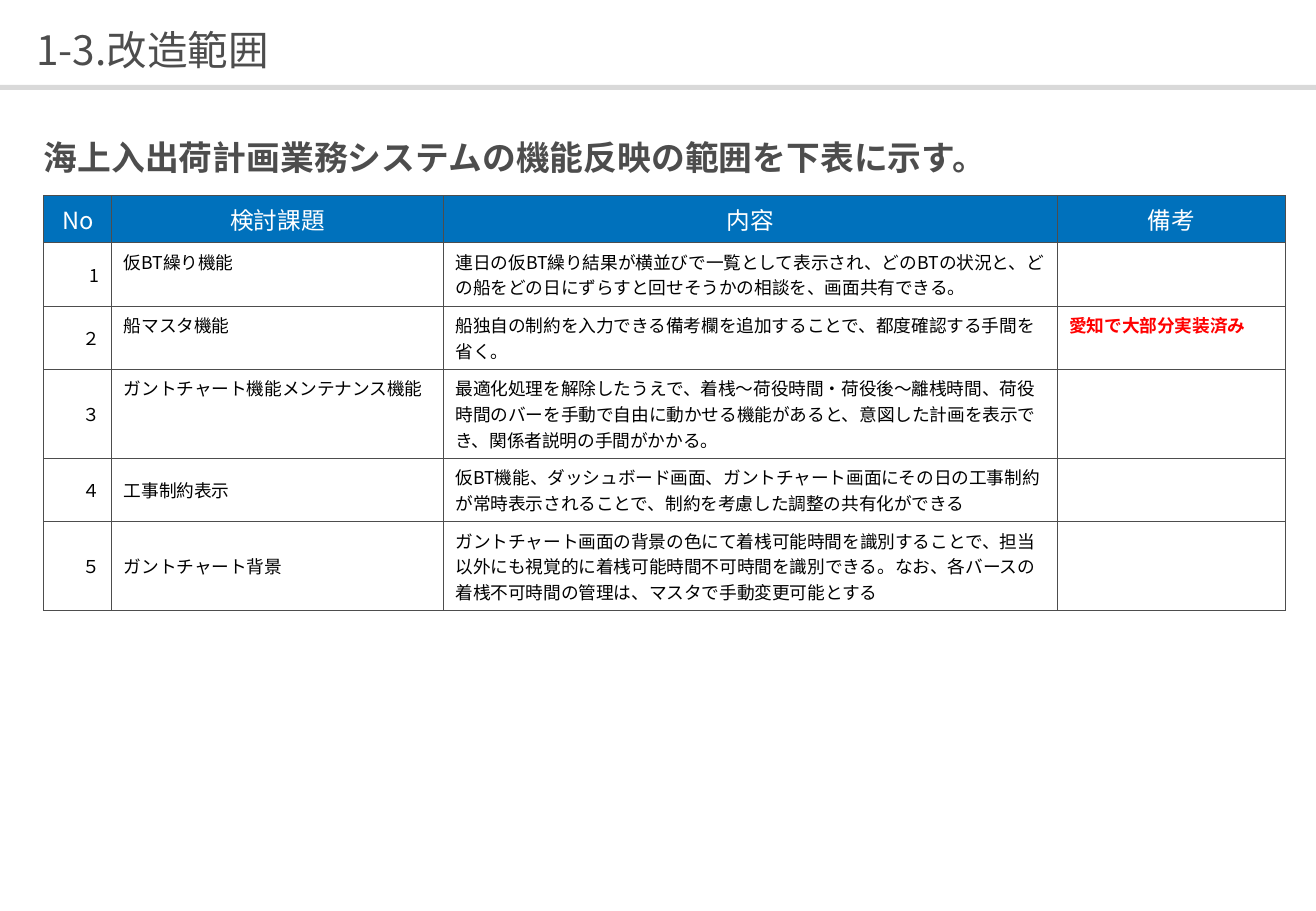
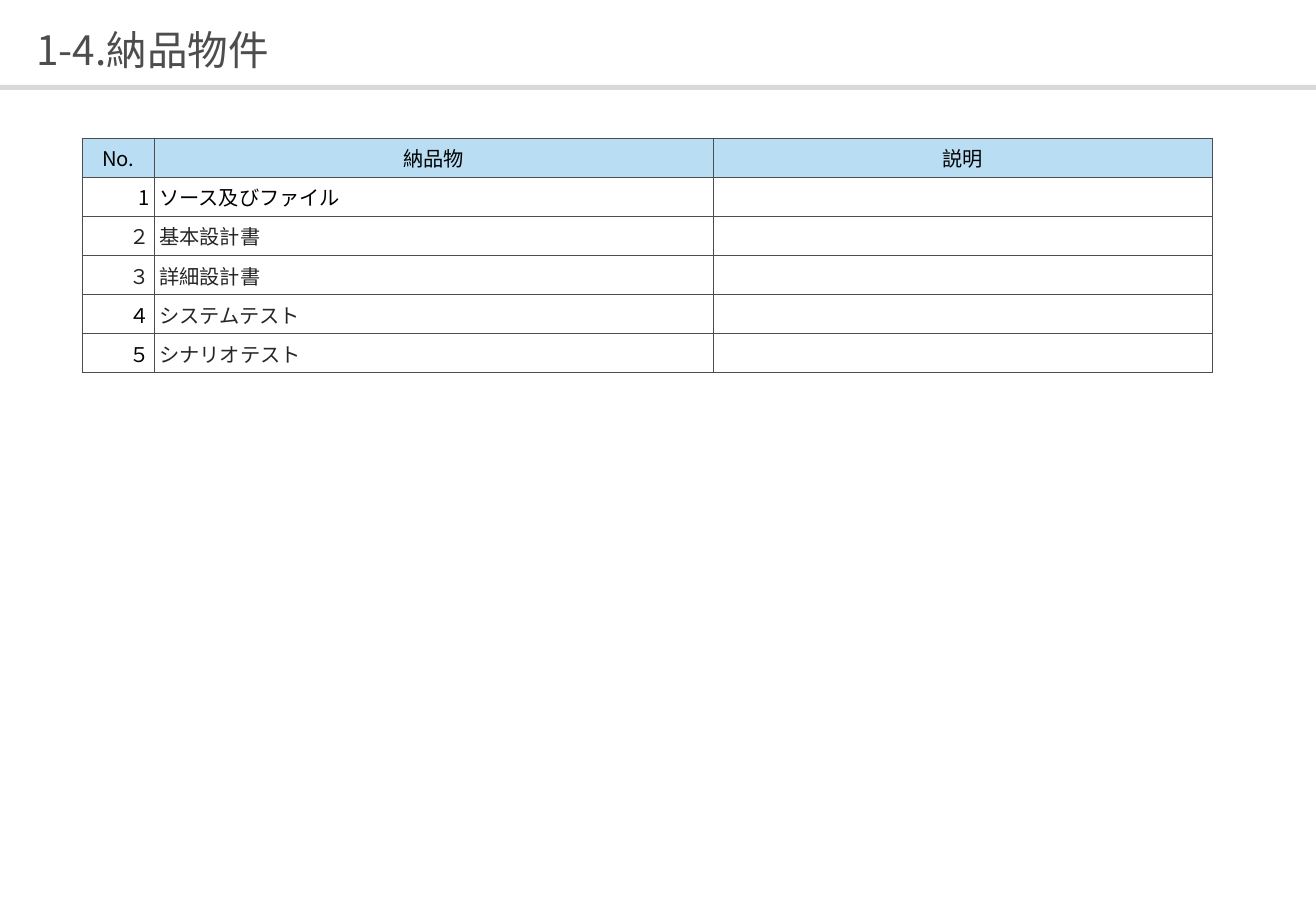
"""Builds two slides on the scope of changes and the deliverables."""
import pptx
import pptx.dml.color
import pptx.enum.shapes
import pptx.enum.text
import pptx.oxml
import pptx.oxml.ns
import pptx.util

Inches, Pt = pptx.util.Inches, pptx.util.Pt
ALIGN, ANCHOR = pptx.enum.text.PP_ALIGN, pptx.enum.text.MSO_ANCHOR
FONT = "Noto Sans CJK JP"
COLORS = {
    "gray": "4D4D4D", "band": "D9D9D9", "blue": "0071BC", "sky": "B9DDF3",
    "white": "FFFFFF", "black": "000000", "dark": "262626", "red": "FF0000",
}
WIDTH, HEIGHT = 10.83, 7.5

LEAD = "海上入出荷計画業務システムの機能反映の範囲を下表に示す。"
SCOPE = [
    ("No", "検討課題", "内容", "備考"),
    ("1", "仮BT繰り機能",
     "連日の仮BT繰り結果が横並びで一覧として表示され、どのBTの状況と、"
     "どの船をどの日にずらすと回せそうかの相談を、画面共有できる。", ""),
    ("２", "船マスタ機能",
     "船独自の制約を入力できる備考欄を追加することで、都度確認する手間を省く。",
     "愛知で大部分実装済み"),
    ("３", "ガントチャート機能メンテナンス機能",
     "最適化処理を解除したうえで、着桟～荷役時間・荷役後～離桟時間、荷役時間のバーを"
     "手動で自由に動かせる機能があると、意図した計画を表示でき、関係者説明の手間がかかる。", ""),
    ("４", "工事制約表示",
     "仮BT機能、ダッシュボード画面、ガントチャート画面にその日の工事制約が"
     "常時表示されることで、制約を考慮した調整の共有化ができる", ""),
    ("５", "ガントチャート背景",
     "ガントチャート画面の背景の色にて着桟可能時間を識別することで、"
     "担当以外にも視覚的に着桟可能時間不可時間を識別できる。なお、"
     "各バースの着桟不可時間の管理は、マスタで手動変更可能とする", ""),
]
GOODS = [
    ("No.", "納品物", "説明"),
    ("1", "ソース及びファイル", ""),
    ("２", "基本設計書", ""),
    ("３", "詳細設計書", ""),
    ("４", "システムテスト", ""),
    ("５", "シナリオテスト", ""),
]


def rgb(name):
    return pptx.dml.color.RGBColor.from_string(COLORS[name])


def write(frame, text, size=12, color="black", bold=False, align=ALIGN.LEFT,
          anchor=ANCHOR.TOP, space=None, after=None):
    frame.word_wrap = True
    frame.vertical_anchor = anchor
    para = frame.paragraphs[0]
    para.alignment = align
    if space:
        para.line_spacing = space
    if after:
        para.space_after = after
    if not text:
        end = pptx.oxml.parse_xml(
            f'<a:endParaRPr {pptx.oxml.ns.nsdecls("a")} sz="{int(size * 100)}"/>')
        para._p.append(end)
        return
    run = para.add_run()
    run.text = text
    font = run.font
    font.name, font.size, font.bold = FONT, Pt(size), bold
    font.color.rgb = rgb(color)
    face = pptx.oxml.parse_xml(
        f'<a:ea {pptx.oxml.ns.nsdecls("a")} typeface="{FONT}"/>')
    font._element.find(pptx.oxml.ns.qn("a:latin")).addnext(face)


def clear(frame):
    frame.margin_left = frame.margin_right = 0
    frame.margin_top = frame.margin_bottom = 0


def start(deck, text):
    slide = deck.slides.add_slide(deck.slide_layouts[5])
    band = slide.shapes.add_shape(
        pptx.enum.shapes.MSO_SHAPE.RECTANGLE,
        0, Inches(0.7), Inches(WIDTH), Inches(0.04))
    band.shadow.inherit = False
    band.fill.solid()
    band.fill.fore_color.rgb = rgb("band")
    band.line.fill.background()
    title = slide.shapes.title
    title.left, title.top = Inches(0.3), Inches(0.17)
    title.width, title.height = Inches(10.24), Inches(0.43)
    clear(title.text_frame)
    title.text_frame.auto_size = pptx.enum.text.MSO_AUTO_SIZE.NONE
    write(title.text_frame, text, size=24, color="gray",
          anchor=ANCHOR.MIDDLE, space=1.1)
    return slide


def edge(cell):
    props = cell._tc.get_or_add_tcPr()
    for spot, side in enumerate("LRTB"):
        props.insert(spot, pptx.oxml.parse_xml(
            f'<a:ln{side} {pptx.oxml.ns.nsdecls("a")} w="{Pt(0.75)}">'
            f'<a:solidFill><a:srgbClr val="{COLORS["gray"]}"/></a:solidFill>'
            f'</a:ln{side}>'))


def grid(slide, rows, left, top, widths, heights, head, style, pad=None):
    table = slide.shapes.add_table(
        len(rows), len(widths), Inches(left), Inches(top),
        Inches(sum(widths)), Inches(sum(heights))).table
    table.horz_banding = False
    for col, width in zip(table.columns, widths):
        col.width = Inches(width)
    for row, height in zip(table.rows, heights):
        row.height = Inches(height)
    for r, row in enumerate(rows):
        for c, text in enumerate(row):
            cell = table.cell(r, c)
            cell.fill.solid()
            cell.fill.fore_color.rgb = rgb("white" if r else head)
            edge(cell)
            if pad:
                cell.margin_left = cell.margin_right = Inches(pad)
                cell.margin_top = cell.margin_bottom = Inches(pad)
            look = style(r, c)
            cell.vertical_anchor = look.pop("anchor", ANCHOR.MIDDLE)
            side = ALIGN.CENTER if r == 0 else ALIGN.LEFT if c else ALIGN.RIGHT
            write(cell.text_frame, text, align=side,
                  anchor=cell.vertical_anchor, **look)


def scope(r, c):
    if r == 0:
        return {"size": 14, "color": "white"}
    high = c > 1 or (c == 1 and r < 4)
    return {"size": 10.5, "color": "red" if c == 3 else "black",
            "bold": c == 3, "anchor": ANCHOR.TOP if high else ANCHOR.MIDDLE}


def goods(r, c):
    dark = r in (2, 3) or (r > 3 and c == 1)
    return {"color": "dark" if dark else "black"}


def main():
    deck = pptx.Presentation()
    deck.slide_width, deck.slide_height = Inches(WIDTH), Inches(HEIGHT)

    slide = start(deck, "1-3.改造範囲")
    grid(slide, SCOPE, 0.36, 1.61, (0.56, 2.73, 5.05, 1.88),
         (0.39, 0.52, 0.52, 0.73, 0.52, 0.73), "blue", scope)
    lead = slide.shapes.add_textbox(
        Inches(0.36), Inches(1.04), Inches(9.61), Inches(0.4)).text_frame
    clear(lead)
    write(lead, LEAD, size=20, color="gray", bold=True,
          align=ALIGN.JUSTIFY, space=Pt(30), after=Pt(12))

    slide = start(deck, "1-4.納品物件")
    grid(slide, GOODS, 0.68, 1.14, (0.59, 4.6, 4.11),
         [0.32] * len(GOODS), "sky", goods, pad=0.04)

    deck.save("out.pptx")


if __name__ == "__main__":
    main()
